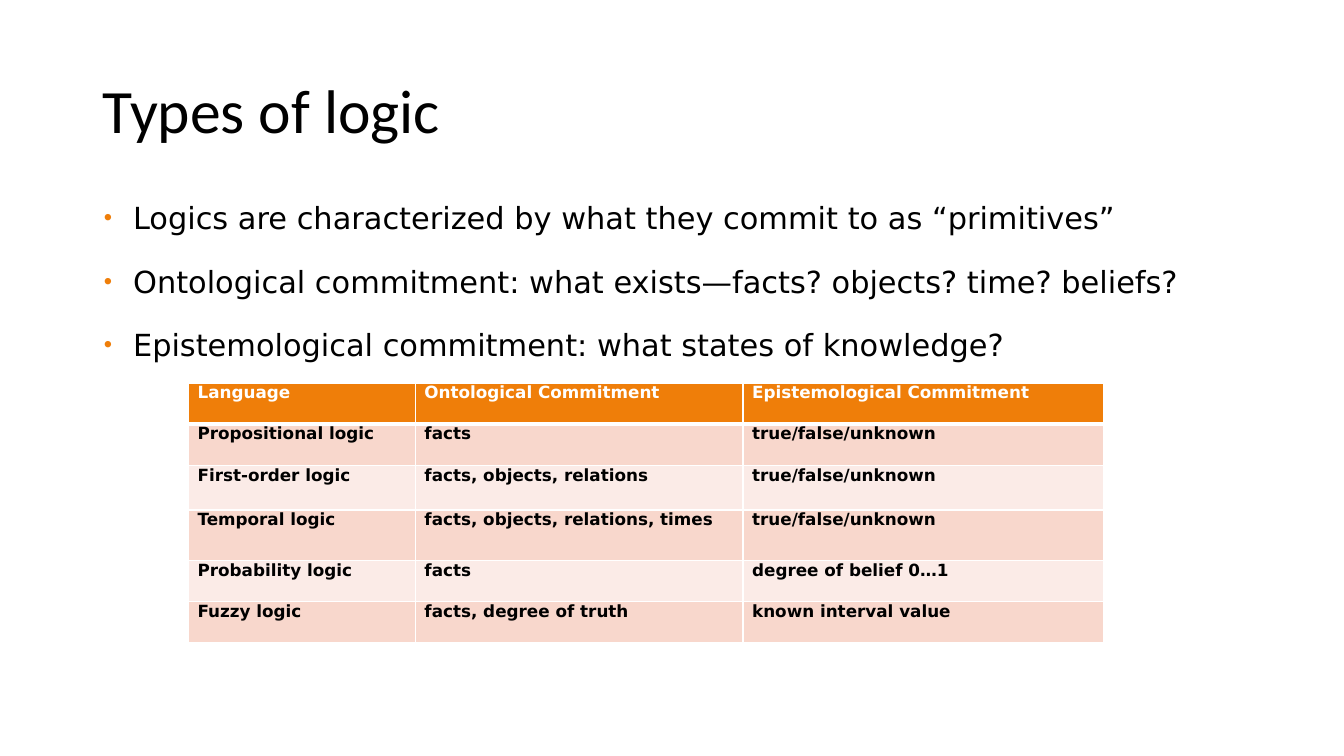
from lxml import etree
from pptx import Presentation
from pptx import util as u
from pptx.dml.color import RGBColor
from pptx.enum import text
from pptx.oxml import ns

BLACK = RGBColor(0x00, 0x00, 0x00)
WHITE = RGBColor(0xFF, 0xFF, 0xFF)
ORANGE = RGBColor(0xEF, 0x7E, 0x09)
PEACH = RGBColor(0xF8, 0xD7, 0xCC)
PALE_PEACH = RGBColor(0xFB, 0xEB, 0xE7)


def add_xml(parent, tag, **attributes):
    return etree.SubElement(parent, ns.qn(tag), attributes)


def format_runs(paragraph, font_name, size, color, bold=False):
    for run in paragraph.runs:
        run.font.name = font_name
        run.font.size = u.Pt(size)
        run.font.bold = bold
        run.font.color.rgb = color


deck = Presentation()
deck.slide_width, deck.slide_height = u.Inches(13.33), u.Inches(7.5)
slide = deck.slides.add_slide(deck.slide_layouts[1])

# Title
heading = slide.shapes.title
heading.left, heading.top = u.Inches(0.92), u.Inches(0.4)
heading.width, heading.height = u.Inches(11.5), u.Inches(1.45)
heading.text_frame.text = "Types of logic"
heading.text_frame.auto_size = text.MSO_AUTO_SIZE.NONE
heading.text_frame.vertical_anchor = text.MSO_ANCHOR.MIDDLE
heading_line = heading.text_frame.paragraphs[0]
heading_line.alignment = text.PP_ALIGN.LEFT
heading_line.line_spacing = 0.9
format_runs(heading_line, "Calibri", 44, BLACK)

# Commitments, as a bulleted list
commitments = slide.placeholders[1]
commitments.left, commitments.top = u.Inches(0.92), u.Inches(2)
commitments.width, commitments.height = u.Inches(11.32), u.Inches(1.81)
commitments.text_frame.text = "\n".join([
    "Logics are characterized by what they commit to as “primitives”",
    "Ontological commitment: what exists—facts? objects? time? beliefs?",
    "Epistemological commitment: what states of knowledge?",
])
commitments.text_frame.auto_size = text.MSO_AUTO_SIZE.NONE
commitments.text_frame.vertical_anchor = text.MSO_ANCHOR.TOP
for index, commitment in enumerate(commitments.text_frame.paragraphs):
    commitment.line_spacing = 0.8
    commitment.space_before = u.Pt(24.4 if index else 0)
    format_runs(commitment, "DejaVu Sans", 21.7, BLACK)
    properties = commitment._p.get_or_add_pPr()
    properties.set("marL", str(u.Inches(0.3)))
    properties.set("indent", str(u.Inches(-0.29)))
    add_xml(add_xml(properties, "a:buClr"), "a:srgbClr", val=str(ORANGE))
    add_xml(properties, "a:buSzPct", val="78000")
    add_xml(properties, "a:buChar", char="•")

# Table of languages
languages = [
    ("Language", "Ontological Commitment", "Epistemological Commitment"),
    ("Propositional logic", "facts", "true/false/unknown"),
    ("First-order logic", "facts, objects, relations", "true/false/unknown"),
    ("Temporal logic", "facts, objects, relations, times", "true/false/unknown"),
    ("Probability logic", "facts", "degree of belief 0…1"),
    ("Fuzzy logic", "facts, degree of truth", "known interval value"),
]
column_widths = [2.25, 3.25, 3.58]
row_heights = [0.41, 0.41, 0.44, 0.5, 0.41, 0.41]
comparison = slide.shapes.add_table(
    len(row_heights), len(column_widths), u.Inches(1.87), u.Inches(3.8),
    u.Inches(sum(column_widths)), u.Inches(sum(row_heights))).table
for column, width in zip(comparison.columns, column_widths):
    column.width = u.Inches(width)

for r, (language, height) in enumerate(zip(languages, row_heights)):
    comparison.rows[r].height = u.Inches(height)
    row_fill = ORANGE if r == 0 else (PALE_PEACH, PEACH)[r % 2]
    for c, wording in enumerate(language):
        cell = comparison.cell(r, c)
        cell.text_frame.text = wording
        cell.margin_left = u.Inches(0.09)
        cell.margin_top = cell.margin_right = cell.margin_bottom = 0
        cell.vertical_anchor = text.MSO_ANCHOR.TOP
        format_runs(cell.text_frame.paragraphs[0], "DejaVu Sans", 12,
                    BLACK if r else WHITE, bold=True)
        # White rules, thicker under the header row
        for side in "LRTB":
            under_header = (r, side) in [(0, "B"), (1, "T")]
            rule = add_xml(cell._tc.get_or_add_tcPr(), f"a:ln{side}",
                           w=str(u.Pt(3 if under_header else 1)))
            add_xml(add_xml(rule, "a:solidFill"), "a:srgbClr", val=str(WHITE))
        cell.fill.solid()
        cell.fill.fore_color.rgb = row_fill

deck.save("out.pptx")
